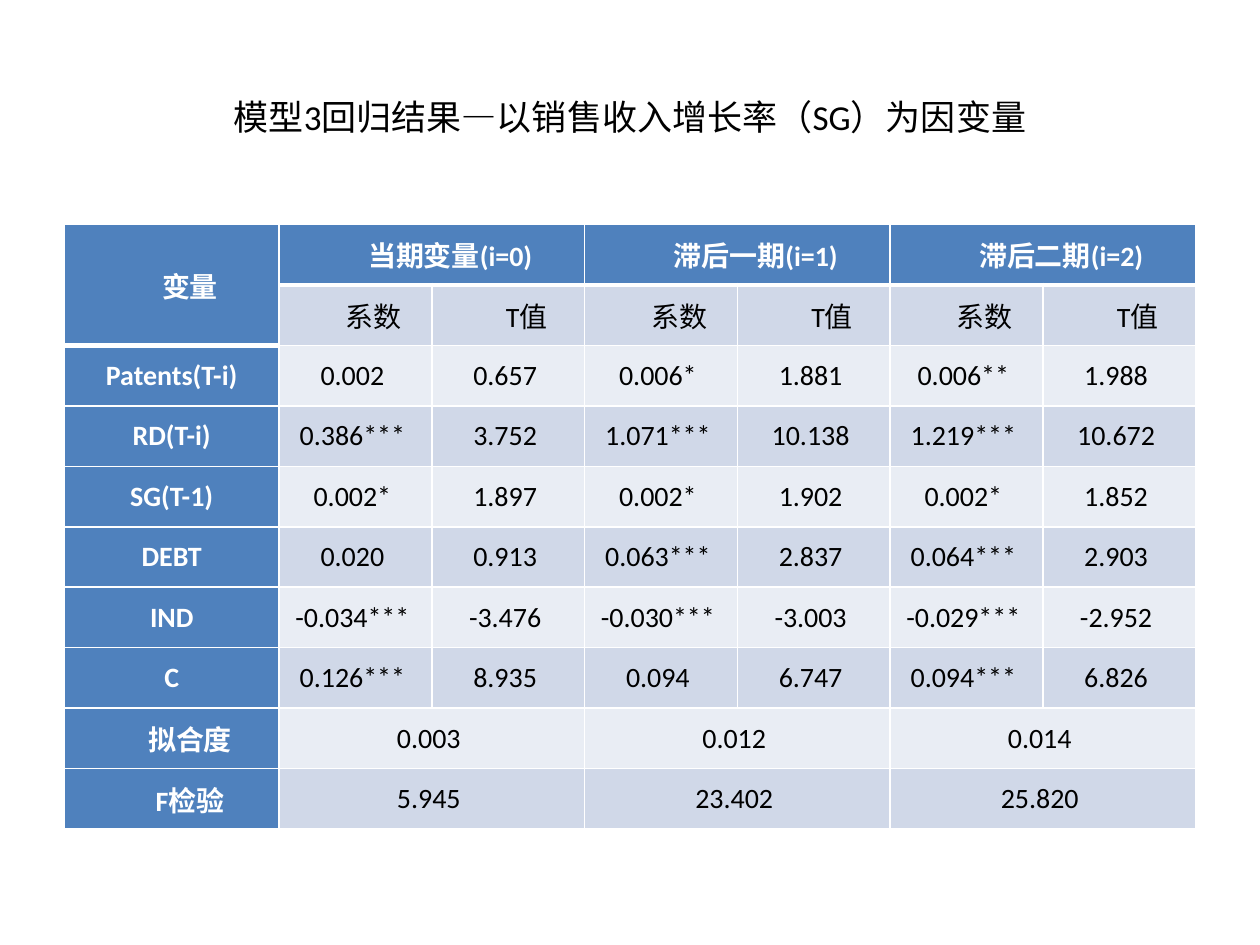
from lxml import etree
from pptx import Presentation
from pptx.dml.color import RGBColor
from pptx.enum.text import MSO_ANCHOR, PP_ALIGN
from pptx.oxml.ns import qn
from pptx.util import Inches, Pt

MIDDLE = MSO_ANCHOR.MIDDLE
CENTER = PP_ALIGN.CENTER
BLUE = RGBColor(0x4F, 0x81, 0xBD)
DARK = RGBColor(0xD0, 0xD8, 0xE8)
LIGHT = RGBColor(0xE9, 0xED, 0xF4)
WHITE = RGBColor(0xFF, 0xFF, 0xFF)
BLACK = RGBColor(0, 0, 0)
FONT = "Calibri"
WIDE, HIGH = Inches(10), Inches(7.5)
LABEL = 0.19
PAD = Inches(0.07)
INDENT = Inches(0.29)

TITLE = "模型3回归结果—以销售收入增长率（SG）为因变量"
HEADS = ["当期变量(i=0)", "滞后一期(i=1)", "滞后二期(i=2)"]
PAIR = ["系数", "T值"]
MODEL = [
    ("Patents(T-i)", "0.002 0.657 0.006* 1.881 0.006** 1.988"),
    ("RD(T-i)", "0.386*** 3.752 1.071*** 10.138 1.219*** 10.672"),
    ("SG(T-1)", "0.002* 1.897 0.002* 1.902 0.002* 1.852"),
    ("DEBT", "0.020 0.913 0.063*** 2.837 0.064*** 2.903"),
    ("IND", "-0.034*** -3.476 -0.030*** -3.003 -0.029*** -2.952"),
    ("C", "0.126*** 8.935 0.094 6.747 0.094*** 6.826"),
]
TESTS = [("拟合度", "0.003 0.012 0.014"), ("F检验", "5.945 23.402 25.820")]


def spread(items):
    """Put each item at the start of a two-column group."""
    return [part for item in items for part in (item, "")]


def values(line):
    """Split a line of figures, each followed by one space."""
    return [f"{item} " for item in line.split()]


def grid():
    """Return all table texts, row by row."""
    rows = [["变量"] + spread(HEADS), [""] + PAIR * len(HEADS)]
    rows += [[name] + values(line) for name, line in MODEL]
    rows += [[name] + spread(values(line)) for name, line in TESTS]
    return rows


def style(para, size, color, bold):
    """Centre a paragraph and format its runs."""
    para.alignment = CENTER
    for run in para.runs:
        run.font.name = FONT
        run.font.size = Pt(size)
        run.font.bold = bold
        run.font.color.rgb = color


def edge(cell, side, width):
    """Draw one white border of a cell."""
    line = etree.SubElement(cell._tc.get_or_add_tcPr(), qn(f"a:ln{side}"), w=str(Pt(width)))
    fill = etree.SubElement(line, qn("a:solidFill"))
    etree.SubElement(fill, qn("a:srgbClr"), val=str(WHITE))


def dress(cell, text, row, col):
    """Fill, border and label the cell at a given row and column."""
    head = row == 0 or col == 0
    last = 1 if col == 0 else 0
    thick = {"T": row == last + 1, "B": row <= last}
    for side in "LRTB":
        edge(cell, side, 3 if thick.get(side) else 1)
    cell.fill.solid()
    cell.fill.fore_color.rgb = BLUE if head else DARK if row % 2 else LIGHT
    cell.vertical_anchor = MIDDLE
    cell.margin_left = cell.margin_right = PAD
    cell.margin_top = cell.margin_bottom = 0
    para = cell.text_frame.paragraphs[0]
    para.text = text
    if any(char >= "一" for char in text):
        para._p.get_or_add_pPr().set("indent", str(INDENT))
    style(para, 16, WHITE if head else BLACK, head)


def add_title(slide, box):
    """Place the slide title in the box."""
    title = slide.shapes.title
    title.left, title.top, title.width, title.height = box
    frame = title.text_frame
    frame.text = TITLE
    frame.vertical_anchor = MIDDLE
    style(frame.paragraphs[0], 20, BLACK, False)


def add_results(slide, box):
    """Place the regression table in the box."""
    rows = grid()
    count = len(rows[0])
    table = slide.shapes.add_table(len(rows), count, *box).table
    table.first_col = True
    first = int(box[2] * LABEL)
    for col, column in enumerate(table.columns):
        column.width = (box[2] - first) // (count - 1) if col else first
    for row, texts in enumerate(rows):
        table.rows[row].height = box[3] // len(rows)
        for col, text in enumerate(texts):
            dress(table.cell(row, col), text, row, col)
    table.cell(0, 0).merge(table.cell(1, 0))
    for row in (0, len(rows) - 2, len(rows) - 1):
        for col in range(1, count, 2):
            table.cell(row, col).merge(table.cell(row, col + 1))


def share(left, top, width, height):
    """Turn shares of the slide into a box."""
    return int(WIDE * left), int(HIGH * top), int(WIDE * width), int(HIGH * height)


def main():
    """Build and save the slide."""
    deck = Presentation()
    deck.slide_width, deck.slide_height = WIDE, HIGH
    slide = deck.slides.add_slide(deck.slide_layouts[5])
    add_title(slide, share(0.05, 0.04, 0.9, 0.1667))
    add_results(slide, share(0.051, 0.2375, 0.898, 0.64))
    deck.save("out.pptx")


if __name__ == "__main__":
    main()
